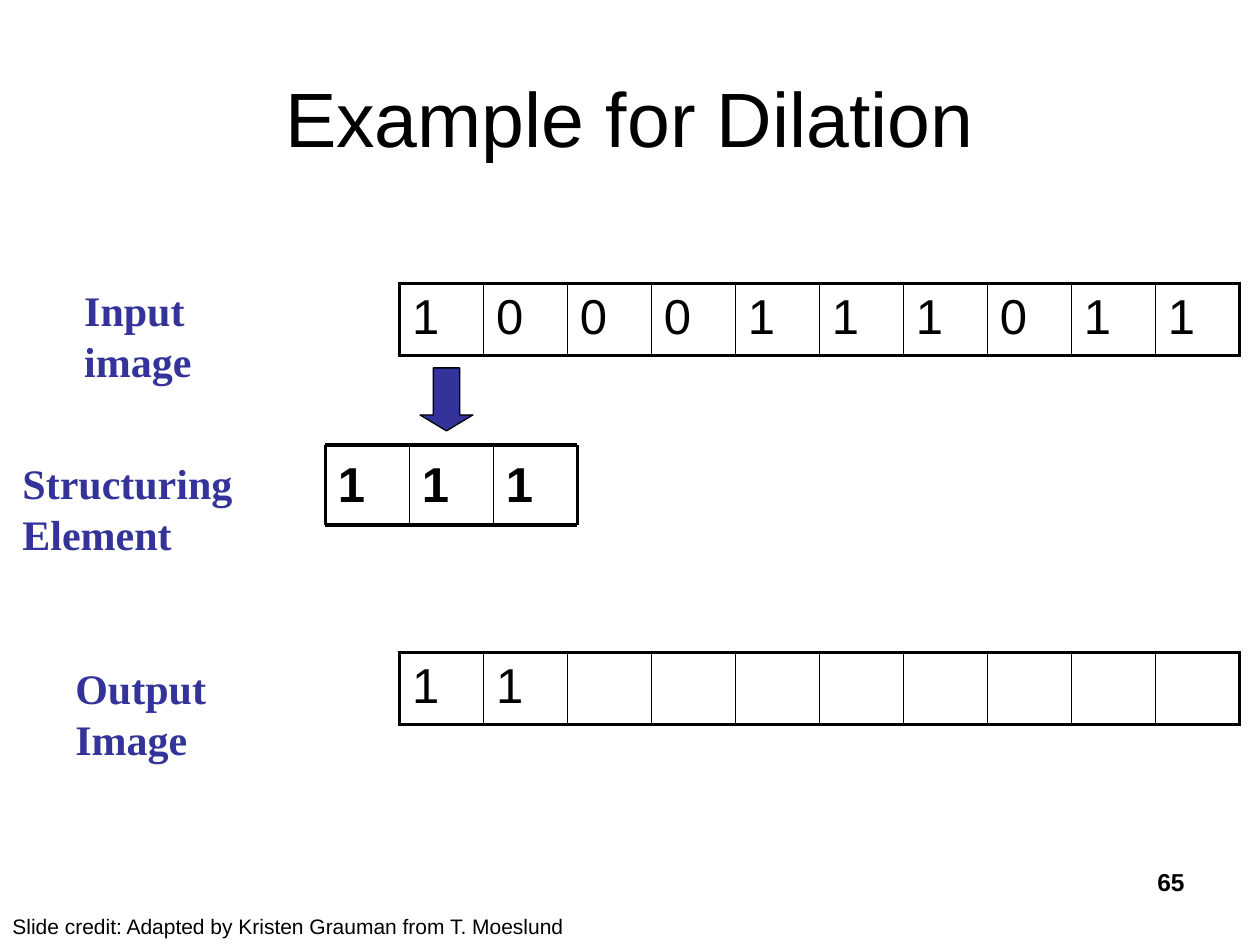
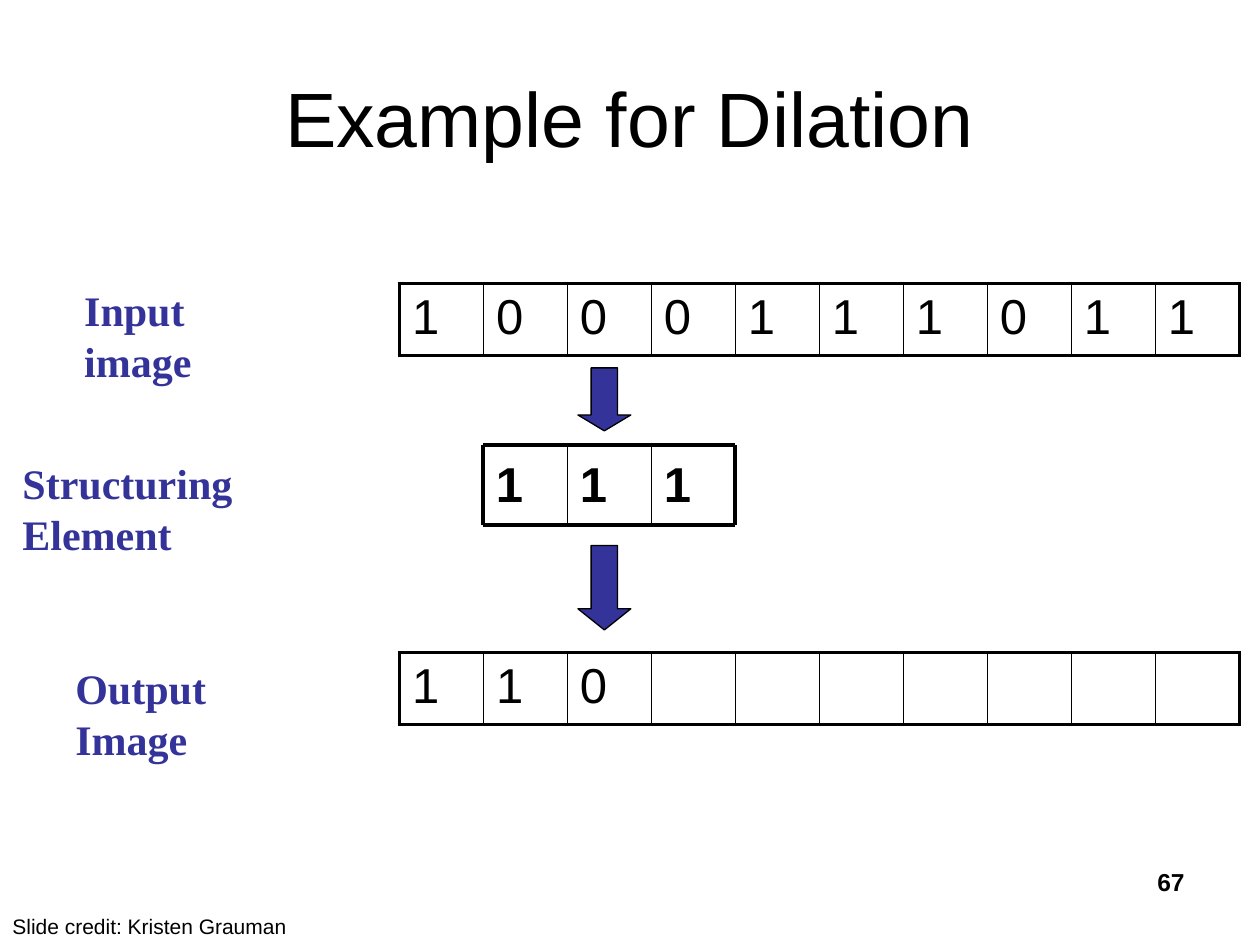
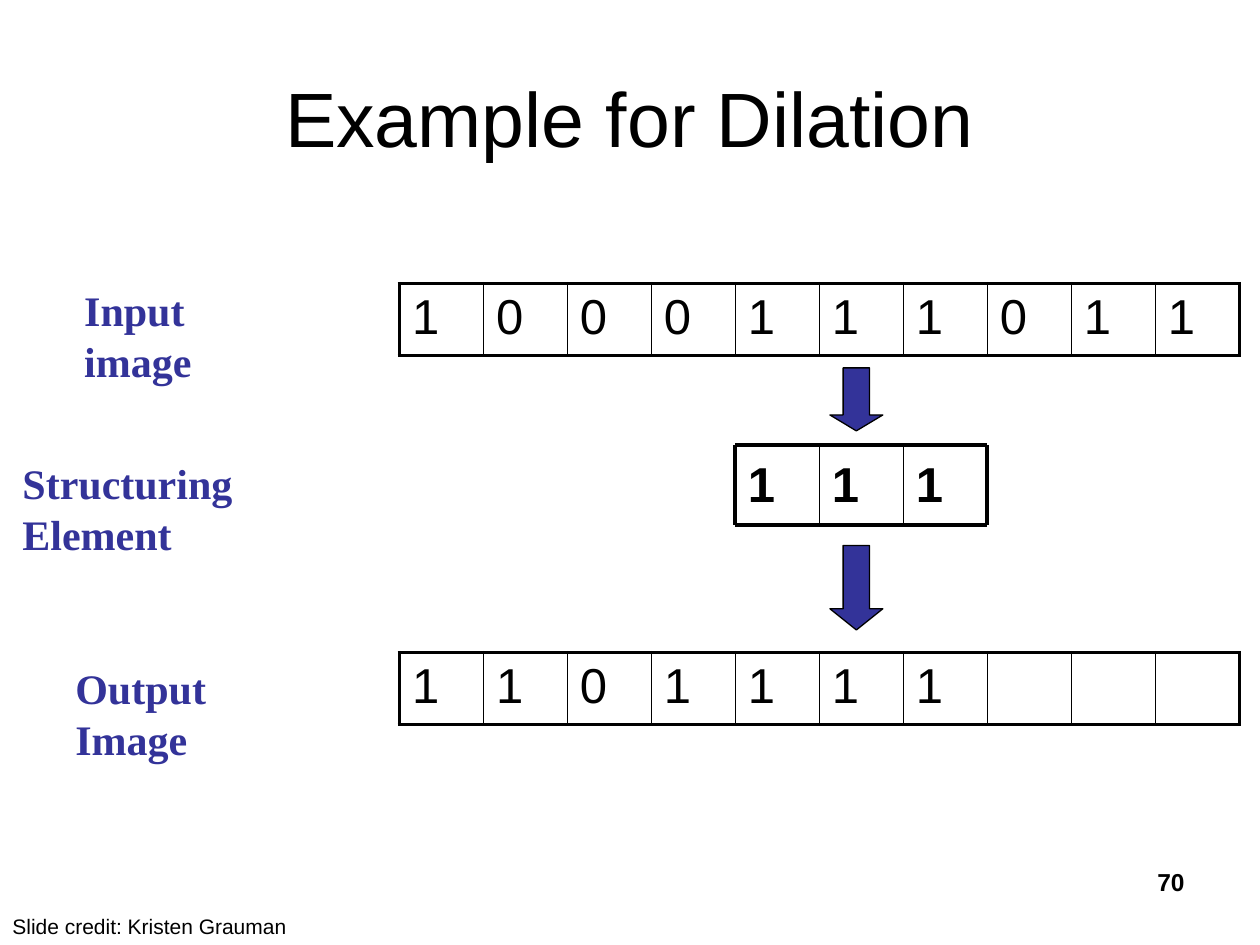
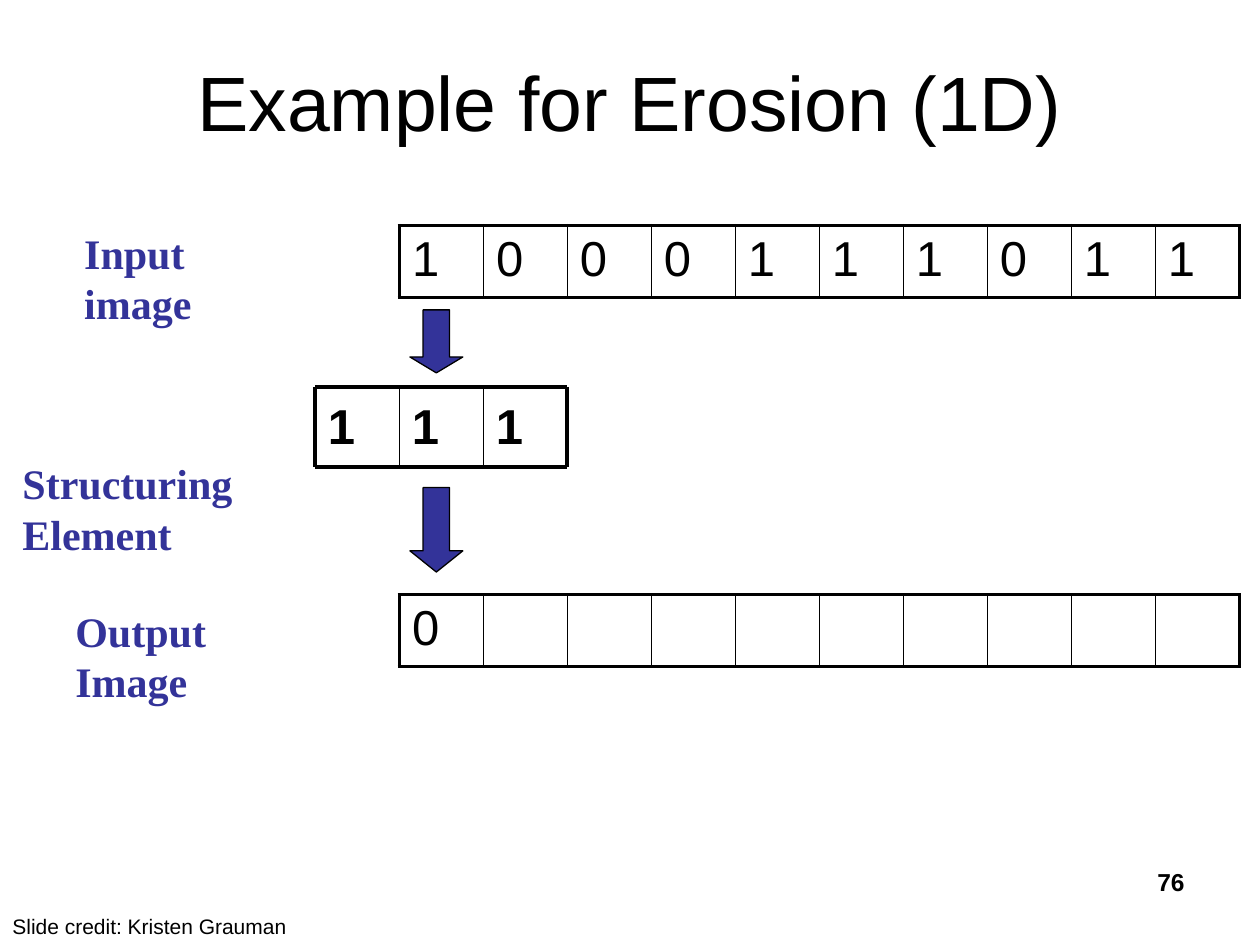
from dataclasses import dataclass

from lxml.etree import SubElement
from pptx import Presentation
from pptx.dml.color import RGBColor
from pptx.enum.shapes import MSO_CONNECTOR, MSO_SHAPE
from pptx.enum.text import MSO_ANCHOR, PP_ALIGN
from pptx.oxml import parse_xml
from pptx.oxml.ns import nsdecls, qn
from pptx.slide import Slide
from pptx.text.text import TextFrame
from pptx.util import Inches, Pt

BLACK = RGBColor(0x00, 0x00, 0x00)
INDIGO = RGBColor(0x33, 0x33, 0x99)
SANS, SERIF = "Arial", "Times New Roman"
THICK, THIN = 2.25, 1

# Grid, in inches; row offsets are measured from the top of the input row
CELL = 2 / 3
GRID_LEFT = 3.17
ROW_HEIGHT = 0.57
FIRST_ARROW, ELEMENT, SECOND_ARROW, OUTPUT = 0.67, 1.28, 2.08, 2.93
ELEMENT_HEIGHT = 0.64
ELEMENT_BITS = "111"
INPUT_BITS = "1000111011"


@dataclass(frozen=True)
class Box:
    left: float
    top: float
    width: float
    height: float

    def lengths(self) -> list[int]:
        return [Inches(value) for value in (self.left, self.top, self.width, self.height)]


@dataclass(frozen=True)
class Step:
    number: int
    output: str
    center: int  # input cell under the middle of the structuring element
    title: str = "Example for Dilation"
    title_box: Box = Box(0.5, 0.3, 9, 1.25)
    top: float = 2.25
    shift: float = 0
    arrow_to_output: bool = True
    credit: str = "Slide credit: Kristen Grauman"


STEPS = [
    Step(65, "11", 0, shift=0.08, arrow_to_output=False,
         credit="Slide credit: Adapted by Kristen Grauman from T. Moeslund"),
    Step(67, "110", 2),
    Step(70, "1101111", 5),
    Step(76, "0", 0, title="Example for Erosion (1D)",
         title_box=Box(0.75, 0.17, 8.5, 1.25), top=1.79),
]


def write(frame: TextFrame, text: str, *, size: float, font: str = SANS,
          color: RGBColor = BLACK, bold: bool = False,
          align: PP_ALIGN = PP_ALIGN.LEFT, spacing: float | None = None) -> None:
    para = frame.paragraphs[0]
    para.alignment = align
    if spacing:
        para.line_spacing = Pt(spacing)
    span = para.add_run()
    span.text = text
    span.font.name = font
    span.font.size = Pt(size)
    span.font.bold = bold
    span.font.color.rgb = color


def add_text(page: Slide, box: Box, text: str, *, anchor: MSO_ANCHOR = MSO_ANCHOR.TOP,
             margin_top: float = 0.05, **text_format) -> None:
    frame = page.shapes.add_textbox(*box.lengths()).text_frame
    frame.word_wrap = True
    frame.vertical_anchor = anchor
    frame.margin_top = Inches(margin_top)
    write(frame, text, **text_format)


def add_label(page: Slide, box: Box, text: str) -> None:
    add_text(page, box, text, size=24, font=SERIF, color=INDIGO, bold=True, spacing=29)


def add_line(page: Slide, start: tuple[float, float], end: tuple[float, float],
             width: float) -> None:
    line = page.shapes.add_connector(
        MSO_CONNECTOR.STRAIGHT, *[Inches(value) for value in start + end])
    line.line.color.rgb = BLACK
    line.line.width = Pt(width)
    SubElement(line._element.spPr, qn("a:effectLst"))


def add_arrow(page: Slide, left: float, top: float, height: float, head: float) -> None:
    arrow = page.shapes.add_shape(
        MSO_SHAPE.DOWN_ARROW, *Box(left, top, 0.42, height).lengths())
    arrow.adjustments[0] = 0.5
    arrow.adjustments[1] = head
    arrow.shadow.inherit = False
    arrow.fill.solid()
    arrow.fill.fore_color.rgb = INDIGO
    arrow.line.color.rgb = BLACK
    arrow.line.width = Pt(0.75)


def add_bit_row(page: Slide, top: float, bits: str) -> None:
    """One table row as long as the input, filled from the left with bits."""
    count = len(INPUT_BITS)
    box = Box(GRID_LEFT, top, count * CELL, ROW_HEIGHT)
    table = page.shapes.add_table(1, count, *box.lengths()).table
    table.first_row = table.horz_banding = False
    for index, bit in enumerate(bits.ljust(count)):
        table.columns[index].width = Inches(CELL)
        cell = table.cell(0, index)
        cell.fill.background()
        widths = {"L": THIN if index else THICK,
                  "R": THIN if index < count - 1 else THICK,
                  "T": THICK, "B": THICK}
        for order, (side, width) in enumerate(widths.items()):
            border = parse_xml(
                f'<a:ln{side} {nsdecls("a")} w="{int(Pt(width))}"><a:solidFill>'
                f'<a:srgbClr val="{BLACK}"/></a:solidFill></a:ln{side}>')
            cell._tc.get_or_add_tcPr().insert(order, border)
        if bit.strip():
            write(cell.text_frame, bit, size=28)


def add_element(page: Slide, left: float, top: float) -> None:
    """The structuring element: bits inside a ruled frame."""
    count = len(ELEMENT_BITS)
    right, bottom = left + count * CELL, top + ELEMENT_HEIGHT
    for index, bit in enumerate(ELEMENT_BITS):
        add_text(page, Box(left + index * CELL, top, CELL, ELEMENT_HEIGHT), bit,
                 size=28, bold=True, margin_top=0.07)
    for edge in (top, bottom):
        add_line(page, (left, edge), (right, edge), THICK)
    for index in range(count + 1):
        rule = left + index * CELL
        add_line(page, (rule, top), (rule, bottom), THICK if index in (0, count) else THIN)


def add_step(deck: Presentation, step: Step) -> None:
    page = deck.slides.add_slide(deck.slide_layouts[6])
    add_text(page, step.title_box, step.title, size=44,
             align=PP_ALIGN.CENTER, anchor=MSO_ANCHOR.MIDDLE)

    # Input and output rows with their labels
    add_bit_row(page, step.top, INPUT_BITS)
    add_label(page, Box(0.57, step.top - 0.04, 1.8, 0.5), "Input image")
    add_label(page, Box(0.08, 3.58, 2.89, 0.5), "Structuring Element")
    add_bit_row(page, step.top + OUTPUT, step.output)
    add_label(page, Box(0.5, step.top + OUTPUT + 0.03, 2.04, 0.5), "Output Image")

    # Structuring element and arrows
    left = GRID_LEFT + (step.center - 1) * CELL + step.shift
    add_element(page, left, step.top + ELEMENT)
    if step.arrow_to_output:
        add_arrow(page, left + 0.75, step.top + SECOND_ARROW, 0.67, 0.4)
    add_arrow(page, left + 0.75, step.top + FIRST_ARROW, 0.5, 0.3)

    # Footer
    add_text(page, Box(0, 7.2, 4.58, 0.3), step.credit, size=12)
    add_text(page, Box(7.17, 6.83, 2.33, 0.52), str(step.number), size=14,
             bold=True, align=PP_ALIGN.RIGHT)


def main() -> None:
    deck = Presentation()
    deck.slide_width, deck.slide_height = Inches(10), Inches(7.5)
    for step in STEPS:
        add_step(deck, step)
    deck.save("out.pptx")


if __name__ == "__main__":
    main()
